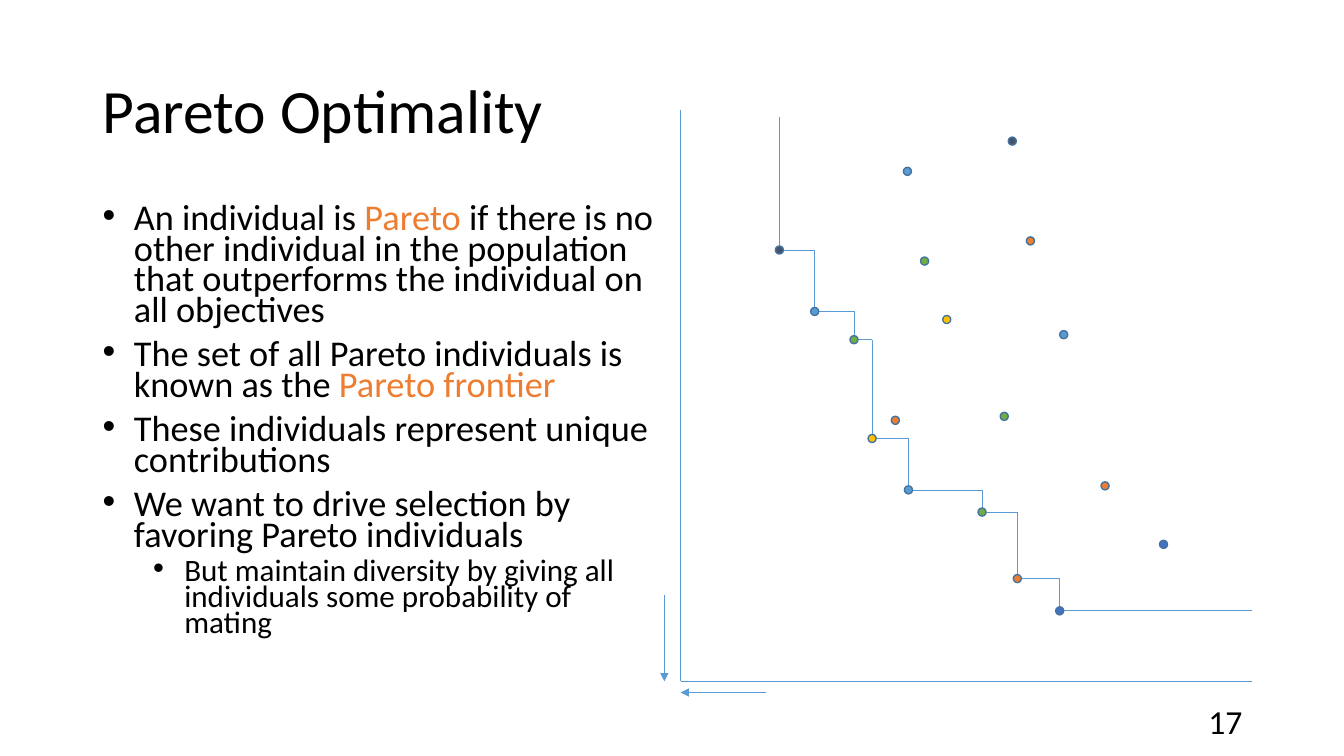
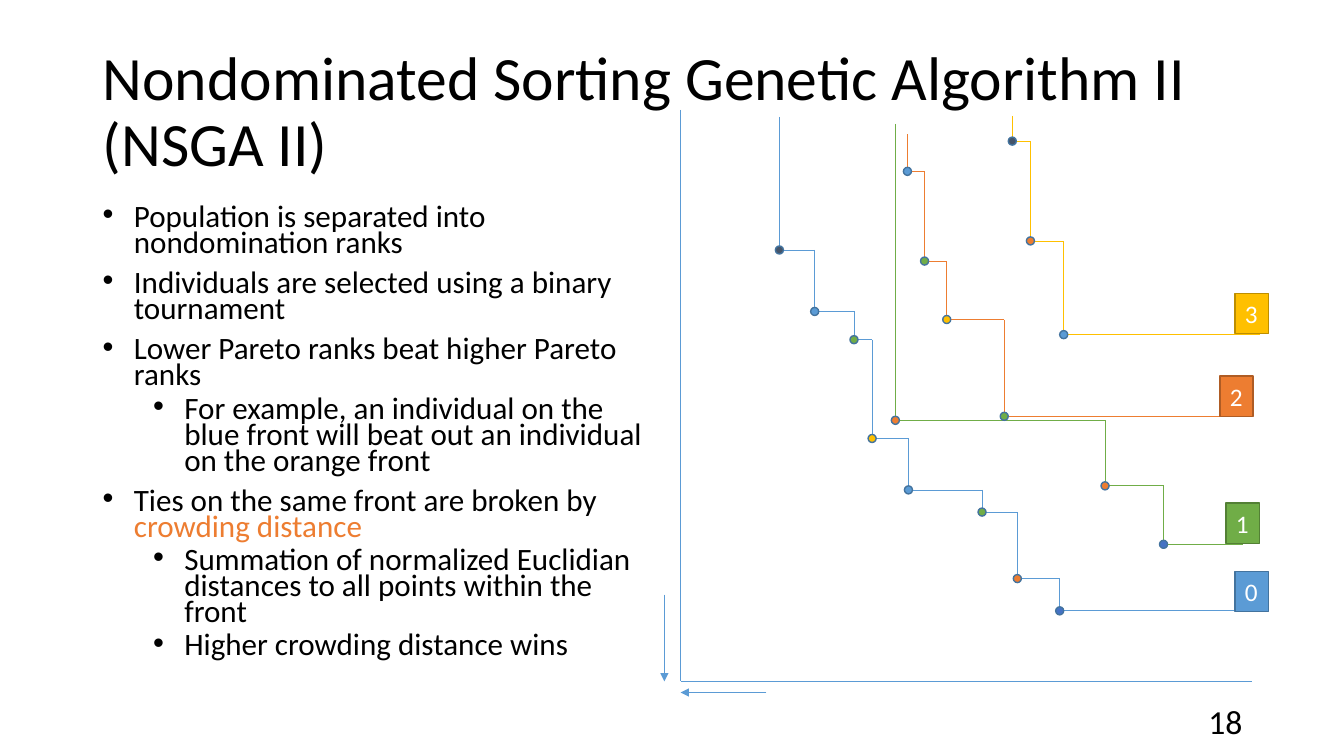
from dataclasses import dataclass
from itertools import pairwise

from lxml import etree
from pptx import Presentation
from pptx import util as u
from pptx.dml.color import RGBColor
from pptx.enum import shapes, text
from pptx.oxml.ns import qn

PX = 9144  # EMU per px, 100 px to the inch


@dataclass(frozen=True)
class Theme:
    font: str = "Calibri"
    black: str = "000000"
    white: str = "FFFFFF"
    navy: str = "44546A"
    sky: str = "5B9BD5"
    blue: str = "4472C4"
    green: str = "70AD47"
    orange: str = "ED7D31"
    yellow: str = "FFC000"
    edge: str = "43739E"
    green_edge: str = "538035"
    orange_edge: str = "AF5C24"
    yellow_edge: str = "BD8E00"
    title_size: float = 44
    lead_size: float = 25.9
    body_size: float = 22.2
    number_size: float = 24
    label_size: float = 18


T = Theme()


@dataclass(frozen=True)
class Front:
    color: str
    edge: str
    top: int        # where the first line starts
    right: int      # where the last line ends
    label_at: tuple
    points: tuple   # centre x, centre y, fill


FRONTS = (
    Front(T.sky, T.edge, 116, 1242, (1225, 567), (
        (773, 248, T.navy), (808, 309, T.sky), (847, 337, T.green),
        (865, 435, T.yellow), (901, 486, T.sky), (974, 508, T.green),
        (1009, 574, T.orange), (1051, 606, T.blue))),
    Front(T.green, T.green_edge, 123, 1233, (1216, 499), (
        (888, 417, T.orange), (1096, 482, T.orange), (1154, 540, T.blue))),
    Front(T.orange, T.orange_edge, 133, 1233, (1210, 373), (
        (900, 170, T.sky), (917, 259, T.green), (939, 317, T.yellow),
        (996, 413, T.green))),
    Front(T.yellow, T.yellow_edge, 115, 1250, (1225, 291), (
        (1004, 140, T.navy), (1022, 239, T.orange), (1055, 332, T.sky))),
)


def px(*lengths):
    return [u.Emu(length * PX) for length in lengths]


def apply(target, **values):
    for name, value in values.items():
        setattr(target, name, value)


class SlideWriter:
    def __init__(self, theme):
        self.theme = theme
        self.deck = Presentation()
        width, height = px(1333, 750)
        apply(self.deck, slide_width=width, slide_height=height)
        self.page = None

    def new_page(self, title, number):
        self.page = self.deck.slides.add_slide(self.deck.slide_layouts[6])
        middle = text.MSO_ANCHOR.MIDDLE
        para = self.box(92, 40, 1150, 145, middle).paragraphs[0]
        para.line_spacing = 0.9
        self.span(para, title, self.theme.title_size)
        para = self.box(942, 695, 300, 40, middle).paragraphs[0]
        para.alignment = text.PP_ALIGN.RIGHT
        self.span(para, str(number), self.theme.number_size)

    def box(self, left, top, width, height, anchor=text.MSO_ANCHOR.TOP):
        frame = self.page.shapes.add_textbox(*px(left, top, width, height)).text_frame
        apply(frame, word_wrap=True, vertical_anchor=anchor)
        return frame

    def span(self, para, words, size, color=None):
        span = para.add_run()
        span.text = words
        apply(span.font, name=self.theme.font, size=u.Pt(size))
        span.font.color.rgb = RGBColor.from_string(color or self.theme.black)

    def bullets(self, items, sizes):
        """Items are (level, words); words between bars are accented."""
        frame = self.box(92, 200, 567, 476)
        for index, (level, words) in enumerate(items):
            para = frame.add_paragraph() if index else frame.paragraphs[0]
            props = para._p.get_or_add_pPr()
            props.set("marL", str((31, 81)[level] * PX))
            props.set("indent", str(-31 * PX))
            etree.SubElement(props, qn("a:buFont")).set("typeface", "Arial")
            etree.SubElement(props, qn("a:buChar")).set("char", "•")
            before = (10, 5)[level] if index else 0
            apply(para, level=level, line_spacing=0.7, space_before=u.Pt(before))
            for part, piece in enumerate(words.split("|")):
                if piece:
                    color = self.theme.orange if part % 2 else self.theme.black
                    self.span(para, piece, sizes[level], color)

    def line(self, start, end, color, arrow=False):
        line = self.page.shapes.add_connector(
            shapes.MSO_CONNECTOR.STRAIGHT, *px(*start, *end))
        line.line.width = u.Pt(0.5)
        line.line.color.rgb = RGBColor.from_string(color)
        props = line.element.spPr
        if arrow:
            etree.SubElement(props.find(qn("a:ln")), qn("a:tailEnd")).set("type", "triangle")
        etree.SubElement(props, qn("a:effectLst"))

    def shape(self, kind, area, fill, edge):
        shape = self.page.shapes.add_shape(kind, *px(*area))
        shape.shadow.inherit = False
        shape.fill.solid()
        shape.fill.fore_color.rgb = RGBColor.from_string(fill)
        shape.line.width = u.Pt(1)
        shape.line.color.rgb = RGBColor.from_string(edge)
        return shape

    def axes(self):
        origin = (675, 676)
        for start, end, arrow in (
            ((675, 109), origin, False),
            (origin, (1242, 676), False),
            ((760, 687), (675, 687), True),
            ((659, 590), (659, 676), True),
        ):
            self.line(start, end, self.theme.sky, arrow)

    def staircase(self, front):
        """Each step runs right from one point, then down to the next."""
        spots = [point[:2] for point in front.points]
        corners = [(spots[0][0], front.top), spots[0]]
        for (_, y), spot in pairwise(spots):
            corners += [(spot[0], y), spot]
        corners.append((front.right, spots[-1][1]))
        for start, end in pairwise(corners):
            self.line(start, end, front.color)

    def dots(self, front):
        for x, y, fill in front.points:
            self.shape(shapes.MSO_SHAPE.OVAL, (x - 4, y - 4, 8, 8), fill, self.theme.edge)

    def label(self, front, rank):
        label = self.shape(shapes.MSO_SHAPE.RECTANGLE, (*front.label_at, 33, 40),
                           front.color, front.edge)
        frame = label.text_frame
        apply(frame, word_wrap=False, vertical_anchor=text.MSO_ANCHOR.TOP)
        para = frame.paragraphs[0]
        para.alignment = text.PP_ALIGN.LEFT
        self.span(para, str(rank), self.theme.label_size, self.theme.white)

    def plot(self, joined):
        self.axes()
        for front in reversed(joined):
            self.staircase(front)
        for front in FRONTS:
            self.dots(front)


def main():
    writer = SlideWriter(T)

    # Pareto frontier: only the first front is joined
    writer.new_page("Pareto Optimality", 17)
    writer.plot(FRONTS[:1])
    writer.bullets([
        (0, "An individual is |Pareto |if there is no other individual in the "
            "population that outperforms the individual on all objectives"),
        (0, "The set of all Pareto individuals is known as the |Pareto frontier"),
        (0, "These individuals represent unique contributions"),
        (0, "We want to drive selection by favoring Pareto individuals"),
        (1, "But maintain diversity by giving all individuals some probability of mating"),
    ], (T.lead_size, T.body_size))

    # Nondomination ranks: every front is joined and labelled
    writer.new_page("Nondominated Sorting Genetic Algorithm II (NSGA II)", 18)
    writer.plot(FRONTS)
    writer.bullets([
        (0, "Population is separated into nondomination ranks"),
        (0, "Individuals are selected using a binary tournament"),
        (0, "Lower Pareto ranks beat higher Pareto ranks"),
        (1, "For example, an individual on the blue front will beat out an "
            "individual on the orange front"),
        (0, "Ties on the same front are broken by |crowding distance"),
        (1, "Summation of normalized Euclidian distances to all points within the front"),
        (1, "Higher crowding distance wins"),
    ], (T.body_size, T.body_size))
    for rank, front in enumerate(FRONTS):
        writer.label(front, rank)

    writer.deck.save("out.pptx")


if __name__ == "__main__":
    main()
